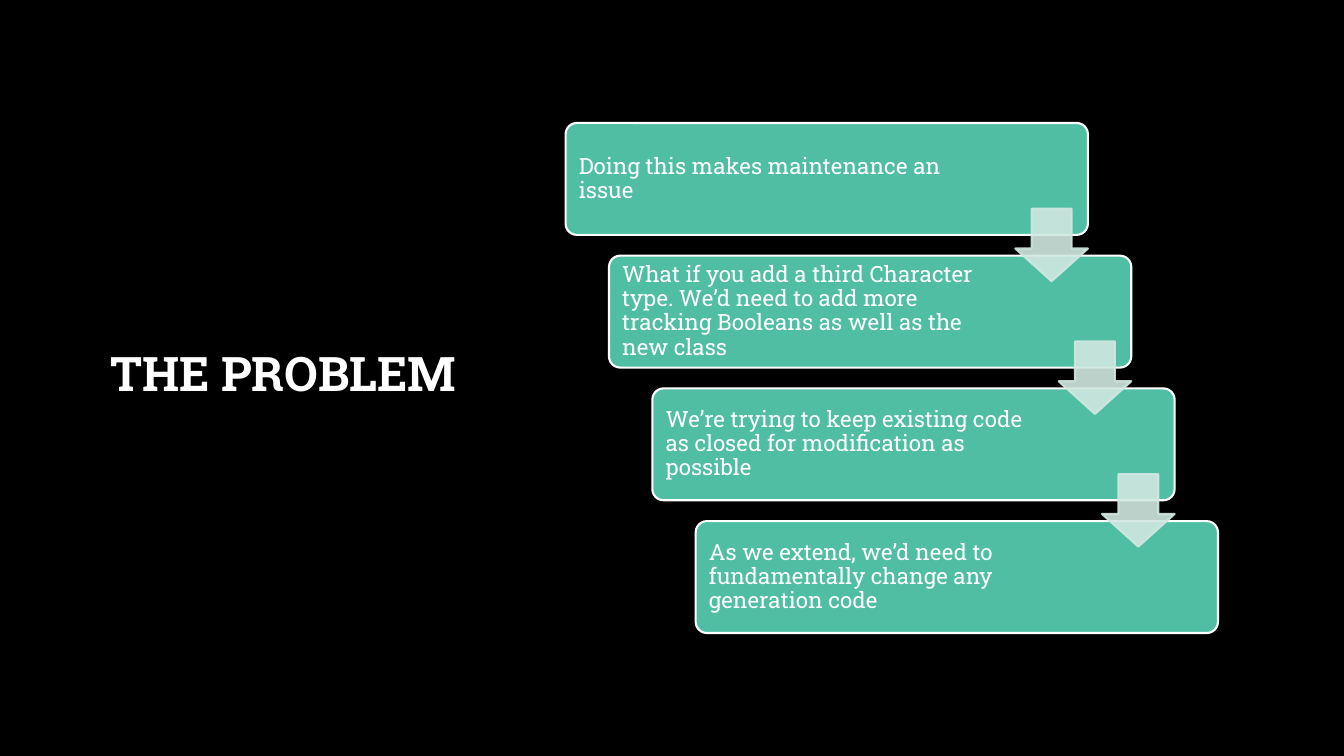
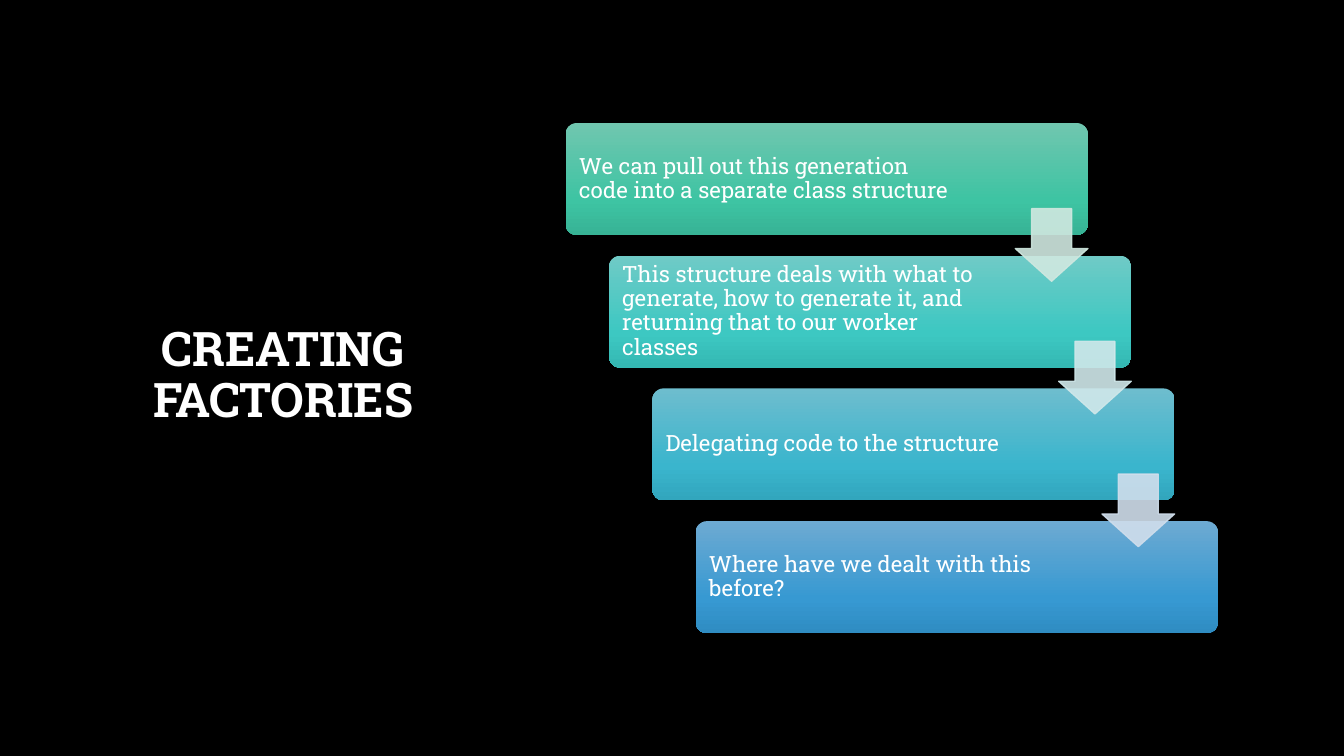
from copy import deepcopy

from lxml import etree
from pptx import Presentation
from pptx.dml.color import RGBColor
from pptx.enum.shapes import MSO_SHAPE
from pptx.enum.text import MSO_ANCHOR, MSO_AUTO_SIZE, PP_ALIGN
from pptx.oxml.ns import qn
from pptx.util import Inches, Pt

ROUNDED = MSO_SHAPE.ROUNDED_RECTANGLE
DOWN_ARROW = MSO_SHAPE.DOWN_ARROW
MIDDLE = MSO_ANCHOR.MIDDLE
NO_AUTOFIT = MSO_AUTO_SIZE.NONE
LEFT, CENTER = PP_ALIGN.LEFT, PP_ALIGN.CENTER

FONT = "Roboto Slab"
BLACK = RGBColor(0x00, 0x00, 0x00)
WHITE = RGBColor(0xFF, 0xFF, 0xFF)
GREEN = RGBColor(0x50, 0xBE, 0xA3)
PALE_GREEN = RGBColor(0xD0, 0xE8, 0xE0)
PALE_TEAL = RGBColor(0xD0, 0xE8, 0xEA)
PALE_BLUE = RGBColor(0xD0, 0xDE, 0xEC)
GREEN_SHADES = (RGBColor(0x70, 0xC6, 0xAF), RGBColor(0x3E, 0xC4, 0xA3), RGBColor(0x37, 0xB3, 0x95))
TEAL_SHADES = (RGBColor(0x6F, 0xCA, 0xC6), RGBColor(0x3D, 0xC8, 0xC2), RGBColor(0x34, 0xB8, 0xB3))
CYAN_SHADES = (RGBColor(0x6E, 0xBD, 0xCE), RGBColor(0x3A, 0xB5, 0xCD), RGBColor(0x32, 0xA6, 0xBD))
BLUE_SHADES = (RGBColor(0x6D, 0xAA, 0xD2), RGBColor(0x37, 0x99, 0xD2), RGBColor(0x2F, 0x8C, 0xC2))
SHADE_POSITIONS = (0, 0.69, 1)

STAIR_LEFT, STAIR_TOP = 5.61, 1.22
STEP_WIDTH, STEP_HEIGHT = 5.18, 1.11
STEP_RIGHT = 0.43
STEP_DOWN = (5.17 - STAIR_TOP) / 3
ARROW_SIZE, ARROW_DROP = 0.72, 0.85
ARROW_OPACITY = 90

PROBLEM_STEPS = (
    "Doing this makes maintenance an issue",
    "What if you add a third Character type. We’d need to add more tracking Booleans "
    "as well as the new class",
    "We’re trying to keep existing code as closed for modification as possible",
    "As we extend, we’d need to fundamentally change any generation code",
)
FACTORY_STEPS = (
    "We can pull out this generation code into a separate class structure",
    "This structure deals with what to generate, how to generate it, and returning "
    "that to our worker classes",
    "Delegating code to the structure",
    "Where have we dealt with this before?",
)


def write(frame, text, size, align, bold=False):
    frame.word_wrap = True
    frame.auto_size = NO_AUTOFIT
    frame.vertical_anchor = MIDDLE
    paragraph = frame.paragraphs[0]
    paragraph.alignment = align
    paragraph.line_spacing = 0.9
    run = paragraph.add_run()
    run.text = text
    run.font.name = FONT
    run.font.size = Pt(size)
    run.font.bold = bold
    run.font.color.rgb = WHITE


def add_titled_slide(prs, text):
    slide = prs.slides.add_slide(prs.slide_layouts[5])
    title = slide.shapes.title
    title.left, title.top = Inches(0.82), Inches(0.67)
    title.width, title.height = Inches(3.98), Inches(6.13)
    write(title.text_frame, text, 34, CENTER, bold=True)
    return slide


def fill_shades(step, shades):
    step.fill.gradient()
    step.fill.gradient_angle = 270
    first_stop = next(step._element.spPr.iter(qn("a:gs")))
    first_stop.addnext(deepcopy(first_stop))
    for stop, position, color in zip(step.fill.gradient_stops, SHADE_POSITIONS, shades):
        stop.position = position
        stop.color.rgb = color


def step_corner(index):
    return STAIR_LEFT + index * STEP_RIGHT, STAIR_TOP + index * STEP_DOWN


def add_step(slide, index, text, shades):
    left, top = step_corner(index)
    step = slide.shapes.add_shape(
        ROUNDED, Inches(left), Inches(top), Inches(STEP_WIDTH), Inches(STEP_HEIGHT))
    step.shadow.inherit = False
    step.adjustments[0] = 0.1
    if shades:
        fill_shades(step, shades)
        step.line.fill.background()
    else:
        step.fill.solid()
        step.fill.fore_color.rgb = GREEN
        step.line.color.rgb = WHITE
        step.line.width = Pt(1.5)
    frame = step.text_frame
    frame.margin_left = frame.margin_top = frame.margin_bottom = Inches(0.1)
    frame.margin_right = Inches(1.29)
    write(frame, text, 16, LEFT)


def add_arrow(slide, index, color, line_width):
    left, top = step_corner(index)
    arrow = slide.shapes.add_shape(
        DOWN_ARROW, Inches(left + STEP_WIDTH - ARROW_SIZE), Inches(top + ARROW_DROP),
        Inches(ARROW_SIZE), Inches(ARROW_SIZE))
    arrow.shadow.inherit = False
    arrow.adjustments[0] = 0.55
    arrow.adjustments[1] = 0.45
    arrow.fill.solid()
    arrow.fill.fore_color.rgb = color
    arrow.line.color.rgb = color
    arrow.line.width = Pt(line_width)
    for color_node in arrow._element.spPr.iter(qn("a:srgbClr")):
        etree.SubElement(color_node, qn("a:alpha"), val=str(ARROW_OPACITY * 1000))


def add_staircase(slide, texts, step_shades, arrow_colors, arrow_line):
    for index, (text, shades) in enumerate(zip(texts, step_shades)):
        add_step(slide, index, text, shades)
    for index, color in enumerate(arrow_colors):
        add_arrow(slide, index, color, arrow_line)


def main():
    prs = Presentation()
    prs.slide_width, prs.slide_height = Inches(13.33), Inches(7.5)
    backdrop = prs.slide_master.background.fill
    backdrop.solid()
    backdrop.fore_color.rgb = BLACK

    problem = add_titled_slide(prs, "THE PROBLEM")
    add_staircase(problem, PROBLEM_STEPS, [None] * 4, [PALE_GREEN] * 3, 1.5)

    factories = add_titled_slide(prs, "CREATING FACTORIES")
    add_staircase(
        factories, FACTORY_STEPS,
        (GREEN_SHADES, TEAL_SHADES, CYAN_SHADES, BLUE_SHADES),
        (PALE_GREEN, PALE_TEAL, PALE_BLUE), 1)

    prs.save("out.pptx")


if __name__ == "__main__":
    main()
